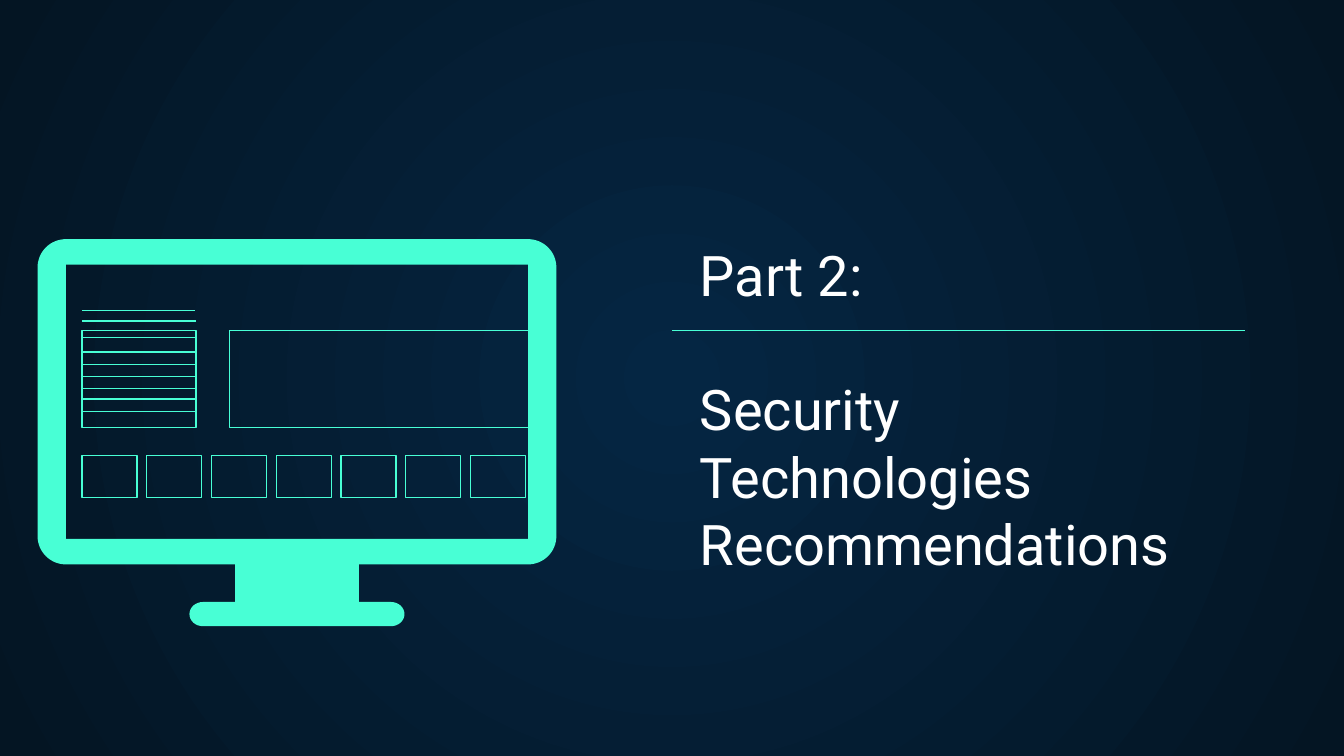
from dataclasses import dataclass
from math import cos, radians, sin

from lxml import etree
from pptx import Presentation
from pptx import util as u
from pptx.dml.color import RGBColor
from pptx.enum import shapes, text
from pptx.oxml.ns import qn


@dataclass(frozen=True)
class Theme:
    accent: RGBColor = RGBColor.from_string("48FFD5")
    title: RGBColor = RGBColor.from_string("FFFFFF")
    glow: RGBColor = RGBColor.from_string("052643")
    edge: RGBColor = RGBColor.from_string("041523")
    font: str = "Roboto"
    title_size: float = 30
    line_width: float = 0.75


@dataclass(frozen=True)
class Panel:
    left: float
    top: float
    width: float
    height: float


@dataclass(frozen=True)
class Rule:
    left: float
    right: float
    y: float


@dataclass(frozen=True)
class Corner:
    x: float
    y: float
    rx: float
    ry: float
    start: int
    end: int


THEME = Theme()
PAGE_WIDTH = 10
PAGE_HEIGHT = PAGE_WIDTH * 9 / 16
CENTRE = 2.21
SCREEN = Panel(0.49, 1.97, 3.44, 2.04)
PANELS = [Panel(0.61, 2.46, 0.85, 0.72), Panel(1.71, 2.46, 2.36, 0.72)]
TILE_COUNT = 7
TILE_PITCH = (3.5 - 0.61) / (TILE_COUNT - 1)
TILES = [Panel(0.61 + i * TILE_PITCH, 3.39, 0.41, 0.31) for i in range(TILE_COUNT)]
LIST_HEIGHTS = [2.39, 2.51, 2.62, 2.71, 2.8, 2.89, 2.97, 3.06]
RULES = [
    *(Rule(0.61, 1.46, y) for y in LIST_HEIGHTS),
    Rule(0.61, 1.45, 2.31),
    Rule(5, 9.26, 2.46),
]


def paint_background(page) -> None:
    fill = page.background.fill
    fill.gradient()
    for stop, color, position in zip(fill.gradient_stops, (THEME.glow, THEME.edge), (0, 1)):
        stop.color.rgb = color
        stop.position = position
    gradient = page.element.find(".//" + qn("a:gradFill"))
    gradient.remove(gradient.find(qn("a:lin")))
    circle = etree.SubElement(gradient, qn("a:path"), {"path": "circle"})
    sides = {side: "50000" for side in "ltrb"}
    etree.SubElement(circle, qn("a:fillToRect"), sides)


def arc(corner: Corner) -> list[tuple[float, float]]:
    steps = 16
    angles = [radians(corner.start + (corner.end - corner.start) * i / steps)
              for i in range(steps + 1)]
    return [(corner.x + corner.rx * cos(a), corner.y + corner.ry * sin(a)) for a in angles]


def draw_monitor(page) -> None:
    # Right half of the outline, mirrored about the centre
    right = [
        *arc(Corner(3.93, 1.99, 0.21, 0.21, -90, 0)),
        *arc(Corner(3.93, 3.99, 0.21, 0.21, 0, 90)),
        (2.67, 4.2), (2.67, 4.48),
        *arc(Corner(2.91, 4.57, 0.1, 0.09, -90, 90)),
    ]
    outline = right + [(2 * CENTRE - x, y) for x, y in reversed(right)]
    x2, y2 = SCREEN.left + SCREEN.width, SCREEN.top + SCREEN.height
    screen = [(SCREEN.left, SCREEN.top), (SCREEN.left, y2), (x2, y2), (x2, SCREEN.top)]

    builder = page.shapes.build_freeform()
    for contour in (outline, screen):
        start, *others = [(u.Inches(x), u.Inches(y)) for x, y in contour]
        builder.move_to(*start)
        builder.add_line_segments(others, close=True)
    monitor = builder.convert_to_shape()
    monitor.shadow.inherit = False
    monitor.fill.solid()
    monitor.fill.fore_color.rgb = THEME.accent
    monitor.line.fill.background()


def style_line(line) -> None:
    line.color.rgb = THEME.accent
    line.width = u.Pt(THEME.line_width)


def draw_panel(parent, panel: Panel) -> None:
    box = parent.shapes.add_shape(
        shapes.MSO_SHAPE.RECTANGLE, u.Inches(panel.left), u.Inches(panel.top),
        u.Inches(panel.width), u.Inches(panel.height))
    box.shadow.inherit = False
    box.fill.background()
    style_line(box.line)


def draw_rule(page, rule: Rule) -> None:
    line = page.shapes.add_connector(
        shapes.MSO_CONNECTOR.STRAIGHT, u.Inches(rule.left), u.Inches(rule.y),
        u.Inches(rule.right), u.Inches(rule.y))
    style_line(line.line)
    etree.SubElement(line.element.spPr, qn("a:effectLst"))


def write_title(page) -> None:
    box = page.shapes.add_textbox(
        u.Inches(5.11), u.Inches(3.73), u.Inches(3.86), u.Inches(0.66))
    frame = box.text_frame
    margins = {f"margin_{side}": u.Inches(0.1) for side in ("left", "top", "right", "bottom")}
    layout = {"word_wrap": True, "vertical_anchor": text.MSO_ANCHOR.BOTTOM, **margins}
    for name, value in layout.items():
        setattr(frame, name, value)
    frame.text = "Part 2:\nSecurity Technologies Recommendations"
    letters = {"name": THEME.font, "size": u.Pt(THEME.title_size)}
    for para in frame.paragraphs:
        para.alignment = text.PP_ALIGN.LEFT
        span = para.runs[0]
        for name, value in letters.items():
            setattr(span.font, name, value)
        span.font.color.rgb = THEME.title
    frame.paragraphs[1].space_before = u.Pt(36)


def main() -> None:
    deck = Presentation()
    deck.slide_width, deck.slide_height = u.Inches(PAGE_WIDTH), u.Inches(PAGE_HEIGHT)
    page = deck.slides.add_slide(deck.slide_layouts[6])
    paint_background(page)

    # Monitor with its screen content
    draw_monitor(page)
    for panel in PANELS:
        draw_panel(page, panel)
    tile_row = page.shapes.add_group_shape()
    for tile in TILES:
        draw_panel(tile_row, tile)

    # List lines on the screen and the divider under the part number
    for rule in RULES:
        draw_rule(page, rule)

    # Section title
    write_title(page)
    deck.save("out.pptx")


if __name__ == "__main__":
    main()
